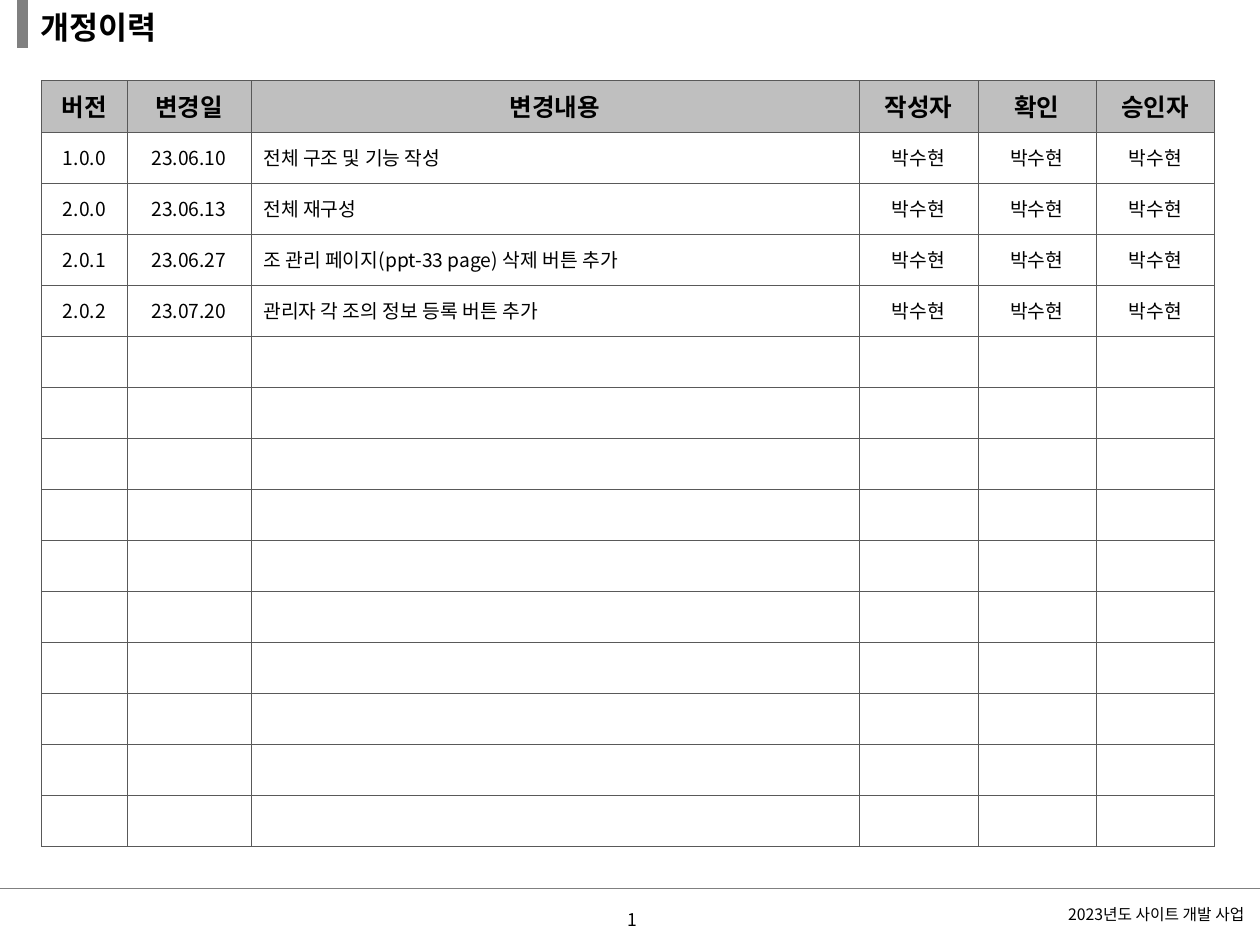
from typing import NamedTuple

from lxml import etree
from pptx import Presentation
from pptx.dml.color import RGBColor
from pptx.enum.shapes import MSO_CONNECTOR
from pptx.enum.text import MSO_ANCHOR, PP_ALIGN
from pptx.oxml.ns import qn
from pptx.util import Inches, Pt

STRAIGHT = MSO_CONNECTOR.STRAIGHT
MIDDLE = MSO_ANCHOR.MIDDLE
LEFT, CENTER, RIGHT = PP_ALIGN.LEFT, PP_ALIGN.CENTER, PP_ALIGN.RIGHT

FONT = "Noto Sans CJK KR"
BLACK, WHITE, GRAY = "000000", "FFFFFF", "808080"
HEADER_FILL, GRID = "BFBFBF", "595959"
TITLE_ONLY = 5
ROW_COUNT, TABLE_HEIGHT = 15, 6.08


class Column(NamedTuple):
    heading: str
    width: float
    align: PP_ALIGN = CENTER


class Revision(NamedTuple):
    version: str
    date: str
    change: str
    author: str = "박수현"
    checker: str = "박수현"
    approver: str = "박수현"


class Rule(NamedTuple):
    start: tuple[float, float]
    end: tuple[float, float]
    weight: float


class Caption(NamedTuple):
    text: str
    top: float
    size: float
    align: PP_ALIGN


COLUMNS = [
    Column("버전", 0.68),
    Column("변경일", 0.98),
    Column("변경내용", 4.83, LEFT),
    Column("작성자", 0.94),
    Column("확인", 0.94),
    Column("승인자", 0.94),
]
REVISIONS = [
    Revision("1.0.0", "23.06.10", "전체 구조 및 기능 작성"),
    Revision("2.0.0", "23.06.13", "전체 재구성"),
    Revision("2.0.1", "23.06.27", "조 관리 페이지(ppt-33 page) 삭제 버튼 추가"),
    Revision("2.0.2", "23.07.20", "관리자 각 조의 정보 등록 버튼 추가"),
]
RULES = [
    Rule((0, 7.05), (10, 7.05), 0.75),
    Rule((0.18, -0.02), (0.18, 0.38), 6),
]
CAPTIONS = [
    Caption("2023년도 사이트 개발 사업 ", 7.06, 9, RIGHT),
    Caption(" 1", 7.1, 10, CENTER),
]


def color(value: str) -> RGBColor:
    return RGBColor.from_string(value)


def write(frame, text: str, *, size: float, bold: bool = False, align=LEFT) -> None:
    """Fill a text frame; an empty text still sets the line height."""
    para = frame.paragraphs[0]
    para.alignment = align
    if not text:
        etree.SubElement(para._p, qn("a:endParaRPr"), sz=str(int(size * 100)))
        return
    span = para.add_run()
    span.text = text
    span.font.size = Pt(size)
    span.font.bold = bold
    span.font.name = FONT
    span.font.color.rgb = color(BLACK)
    latin = span.font._element.find(qn("a:latin"))
    latin.addnext(latin.makeelement(qn("a:ea"), {"typeface": FONT}))


def draw_rule(page, rule: Rule) -> None:
    ends = [Inches(value) for value in (*rule.start, *rule.end)]
    line = page.shapes.add_connector(STRAIGHT, *ends)
    line.line.color.rgb = color(GRAY)
    line.line.width = Pt(rule.weight)
    etree.SubElement(line._element.spPr, qn("a:effectLst"))


def draw_caption(page, caption: Caption) -> None:
    box = page.shapes.add_textbox(0, Inches(caption.top), Inches(10), Inches(0.4))
    frame = box.text_frame
    frame.word_wrap = True
    frame.vertical_anchor = MIDDLE
    write(frame, caption.text, size=caption.size, align=caption.align)


def border(cell) -> None:
    """Put the four side lines ahead of the cell's fill."""
    properties = cell._tc.get_or_add_tcPr()
    for position, side in enumerate(("lnL", "lnR", "lnT", "lnB")):
        line = properties.makeelement(qn(f"a:{side}"), {"w": str(Pt(0.25))})
        fill = etree.SubElement(line, qn("a:solidFill"))
        etree.SubElement(fill, qn("a:srgbClr"), val=GRID)
        properties.insert(position, line)


def draw_history(page) -> None:
    width = sum(column.width for column in COLUMNS)
    table = page.shapes.add_table(
        ROW_COUNT, len(COLUMNS),
        Inches(0.33), Inches(0.64), Inches(width), Inches(TABLE_HEIGHT),
    ).table
    table.first_row = table.horz_banding = False
    for column, spec_column in zip(table.columns, COLUMNS):
        column.width = Inches(spec_column.width)

    headings = [column.heading for column in COLUMNS]
    blanks = [[""] * len(COLUMNS)] * (ROW_COUNT - 1 - len(REVISIONS))
    for row, texts in enumerate([headings, *REVISIONS, *blanks]):
        header = row == 0
        for index, text in enumerate(texts):
            cell = table.cell(row, index)
            cell.vertical_anchor = MIDDLE
            cell.fill.solid()
            cell.fill.fore_color.rgb = color(HEADER_FILL if header else WHITE)
            border(cell)
            write(cell.text_frame, text, size=14 if header else 11, bold=header,
                  align=CENTER if header else COLUMNS[index].align)


def draw_title(page) -> None:
    title = page.shapes.title
    title.left, title.top = Inches(0.22), Inches(0)
    title.width, title.height = Inches(2.97), Inches(0.42)
    title.text_frame.vertical_anchor = MIDDLE
    write(title.text_frame, "개정이력", size=18, bold=True)


def main() -> None:
    deck = Presentation()
    deck.slide_width, deck.slide_height = Inches(10), Inches(7.5)
    page = deck.slides.add_slide(deck.slide_layouts[TITLE_ONLY])

    # Frame lines and footer
    for rule in RULES:
        draw_rule(page, rule)
    for caption in CAPTIONS:
        draw_caption(page, caption)

    # Revision history
    draw_history(page)
    draw_title(page)
    deck.save("out.pptx")


if __name__ == "__main__":
    main()
